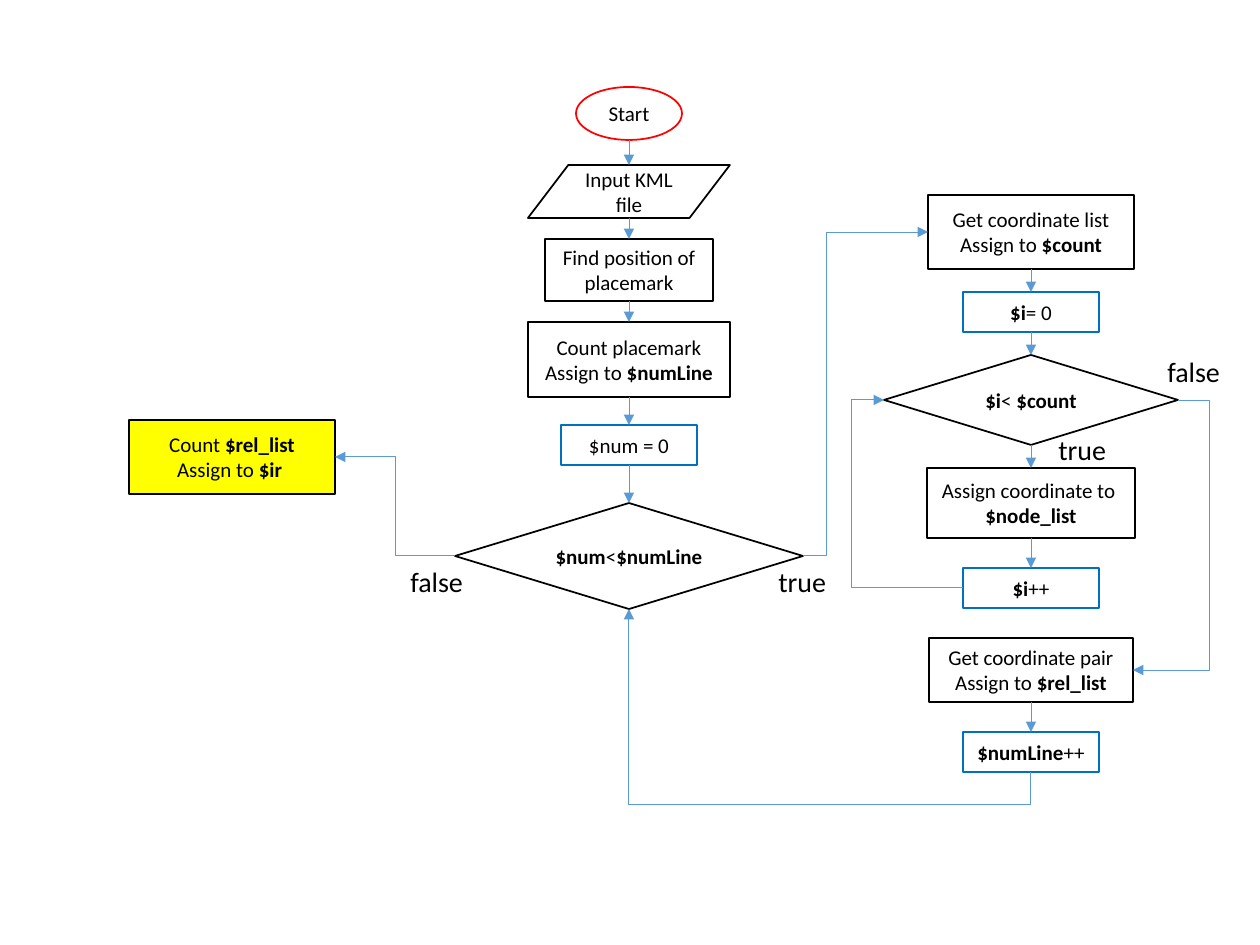
"""Draws the flowchart that reads coordinate lists from a KML file."""
from typing import NamedTuple, Optional

import lxml.etree
import pptx
import pptx.dml.color
import pptx.enum.shapes
import pptx.enum.text
import pptx.oxml.ns
import pptx.util

EMU_PER_PX = 914400 / 126
FONT = "Calibri"
BLACK, WHITE, RED, YELLOW = "000000", "FFFFFF", "FF0000", "FFFF00"
STEP_BLUE, ARROW_BLUE = "0070C0", "5B9BD5"
TOP, LEFT, BOTTOM, RIGHT = range(4)
MAIN_X, LOOP_X, RESULT_X = 629, 1031, 232

KIND = pptx.enum.shapes.MSO_SHAPE
LINK = pptx.enum.shapes.MSO_CONNECTOR
ALIGN = pptx.enum.text.PP_ALIGN
ANCHOR = pptx.enum.text.MSO_ANCHOR
AUTO_SIZE = pptx.enum.text.MSO_AUTO_SIZE


class Step(NamedTuple):
    text: str
    center: int
    top: int
    width: int
    height: int
    kind: KIND = KIND.FLOWCHART_PROCESS
    line: str = BLACK
    fill: str = WHITE

    def side(self, number: int) -> tuple[int, int]:
        middle = self.top + self.height // 2
        return {
            TOP: (self.center, self.top),
            LEFT: (self.center - self.width // 2, middle),
            BOTTOM: (self.center, self.top + self.height),
            RIGHT: (self.center + self.width // 2, middle),
        }[number]


class Branch(NamedTuple):
    source: str
    source_side: int
    target: str
    target_side: int
    lane: int


class Label(NamedTuple):
    text: str
    left: int
    top: int
    width: int


def counter(text: str, center: int, top: int) -> Step:
    return Step(text, center, top, 136, 40, KIND.RECTANGLE, STEP_BLUE)


STEPS = {
    "start": Step("Start", MAIN_X, 87, 106, 53, KIND.OVAL, RED),
    "input": Step("Input KML file", MAIN_X, 165, 202, 53, KIND.FLOWCHART_DATA),
    "find": Step("Find position of placemark", MAIN_X, 239, 168, 62, KIND.RECTANGLE),
    "count": Step("Count placemark\nAssign to *$numLine*", MAIN_X, 322, 202, 75),
    "num": counter("$num = 0", MAIN_X, 425),
    "more lines": Step("*$num*<*$numLine*", MAIN_X, 503, 348, 106,
                       KIND.FLOWCHART_DECISION),
    "coordinates": Step("Get coordinate list\nAssign to *$count*", LOOP_X, 195, 206, 74),
    "i": counter("*$i*= 0", LOOP_X, 292),
    "more coordinates": Step("*$i*< *$count*", LOOP_X, 355, 294, 90,
                             KIND.FLOWCHART_DECISION),
    "nodes": Step("Assign coordinate to \n*$node_list*", LOOP_X, 468, 208, 70),
    "next i": counter("*$i*++", LOOP_X, 568),
    "pairs": Step("Get coordinate pair\nAssign to *$rel_list*", LOOP_X, 638, 204, 64),
    "next line": counter("*$numLine*++", LOOP_X, 732),
    "result": Step("Count *$rel_list*\nAssign to *$ir *", RESULT_X, 420, 206, 74,
                   fill=YELLOW),
}
CHAINS = [
    ["start", "input", "find", "count", "num", "more lines"],
    ["coordinates", "i", "more coordinates", "nodes", "next i"],
    ["pairs", "next line"],
]
BRANCHES = [
    Branch("more lines", RIGHT, "coordinates", LEFT, 827),
    Branch("more lines", LEFT, "result", RIGHT, 395),
    Branch("next i", LEFT, "more coordinates", LEFT, 852),
    Branch("more coordinates", RIGHT, "pairs", RIGHT, 1210),
    Branch("next line", BOTTOM, "more lines", BOTTOM, 804),
]
LABELS = [
    Label("true", 766, 558, 74),
    Label("true", 1046, 426, 74),
    Label("false", 1155, 348, 78),
    Label("false", 398, 558, 78),
]


def px(length: float) -> pptx.util.Emu:
    return pptx.util.Emu(round(length * EMU_PER_PX))


def color(value: str) -> pptx.dml.color.RGBColor:
    return pptx.dml.color.RGBColor.from_string(value)


def write(frame, text: str, *, size: int, align: ALIGN) -> None:
    """Fill a text frame; asterisks enclose bold words."""
    for number, line in enumerate(text.split("\n")):
        paragraph = frame.add_paragraph() if number else frame.paragraphs[0]
        paragraph.alignment = align
        for order, words in enumerate(line.split("*")):
            if words:
                run = paragraph.add_run()
                run.text = words
                run.font.name = FONT
                run.font.size = pptx.util.Pt(size)
                run.font.bold = order % 2 == 1
                run.font.color.rgb = color(BLACK)


def draw_step(slide, step: Step):
    left = step.center - step.width // 2
    shape = slide.shapes.add_shape(
        step.kind, px(left), px(step.top), px(step.width), px(step.height))
    shape.shadow.inherit = False
    shape.fill.solid()
    shape.fill.fore_color.rgb = color(step.fill)
    shape.line.color.rgb = color(step.line)
    shape.line.width = pptx.util.Pt(1)
    shape.text_frame.word_wrap = True
    shape.text_frame.vertical_anchor = ANCHOR.MIDDLE
    write(shape.text_frame, step.text, size=12, align=ALIGN.CENTER)
    return shape


def draw_arrow(slide, kind: LINK, begin: tuple, end: tuple):
    connector = slide.shapes.add_connector(kind, *map(px, (*begin, *end)))
    connector.line.color.rgb = color(ARROW_BLUE)
    connector.line.width = pptx.util.Pt(0.5)
    qn = pptx.oxml.ns.qn
    lxml.etree.SubElement(connector.line._get_or_add_ln(), qn("a:tailEnd"), type="triangle")
    lxml.etree.SubElement(connector.element.spPr, qn("a:effectLst"))
    return connector


def draw_chain(slide, names: list[str], shapes: dict) -> None:
    unjoined = (KIND.OVAL, KIND.FLOWCHART_DATA)
    for source, target in zip(names, names[1:]):
        arrow = draw_arrow(slide, LINK.STRAIGHT,
                           STEPS[source].side(BOTTOM), STEPS[target].side(TOP))
        if STEPS[source].kind not in unjoined:
            arrow.begin_connect(shapes[source], BOTTOM)
        if STEPS[target].kind not in unjoined:
            arrow.end_connect(shapes[target], TOP)


def draw_branch(slide, branch: Branch) -> None:
    """Draw an elbow whose middle segment runs along the lane."""
    begin = STEPS[branch.source].side(branch.source_side)
    end = STEPS[branch.target].side(branch.target_side)
    vertical = branch.source_side in (TOP, BOTTOM)
    axis = 1 if vertical else 0
    bend = (branch.lane - begin[axis]) / (end[axis] - begin[axis])
    if vertical:
        x, y = (begin[0] + end[0]) / 2, (begin[1] + end[1]) / 2
        begin, end = ((x + py - y, y - pX + x) for pX, py in (begin, end))
    arrow = draw_arrow(slide, LINK.ELBOW, begin, end)
    qn = pptx.oxml.ns.qn
    if vertical:
        arrow.element.spPr.find(qn("a:xfrm")).set("rot", "5400000")
    adjustments = arrow.element.spPr.find(qn("a:prstGeom")).find(qn("a:avLst"))
    lxml.etree.SubElement(adjustments, qn("a:gd"), name="adj1",
                          fmla=f"val {round(bend * 100000)}")


def draw_label(slide, label: Label) -> None:
    box = slide.shapes.add_textbox(px(label.left), px(label.top), px(label.width), px(47))
    box.text_frame.word_wrap = False
    box.text_frame.auto_size = AUTO_SIZE.SHAPE_TO_FIT_TEXT
    write(box.text_frame, label.text, size=16, align=ALIGN.LEFT)


def main() -> None:
    deck = pptx.Presentation()
    deck.slide_width, deck.slide_height = px(1260), px(945)
    slide = deck.slides.add_slide(deck.slide_layouts[6])
    shapes = {name: draw_step(slide, step) for name, step in STEPS.items()}
    for chain in CHAINS:
        draw_chain(slide, chain, shapes)
    for branch in BRANCHES:
        draw_branch(slide, branch)
    for label in LABELS:
        draw_label(slide, label)
    deck.save("out.pptx")


if __name__ == "__main__":
    main()
